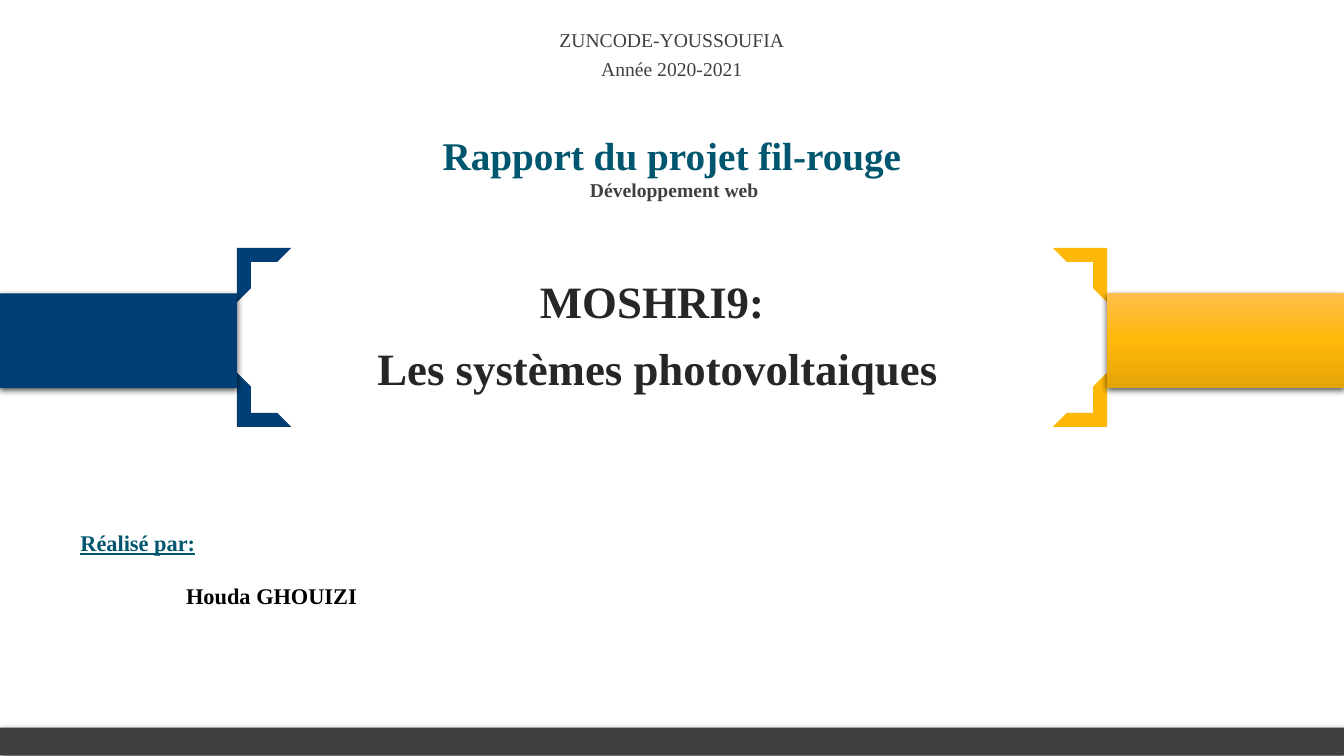
from copy import deepcopy
from dataclasses import dataclass

from pptx import Presentation
from pptx.dml.color import RGBColor
from pptx.enum.shapes import MSO_SHAPE as SHAPE
from pptx.enum.text import MSO_ANCHOR as ANCHOR, MSO_AUTO_SIZE as AUTO, PP_ALIGN as ALIGN
from pptx.oxml import parse_xml
from pptx.oxml.ns import nsdecls, qn
from pptx.util import Pt


@dataclass(frozen=True)
class Theme:
    font: str = "Times New Roman"
    navy: str = "003F75"
    gold: str = "FEB80A"
    gold_ramp: tuple = ("FFBF4C", "FFB809", "E5A506")
    teal: str = "00566E"
    gray: str = "404040"
    ink: str = "262626"
    black: str = "000000"
    title: int = 32
    heading: int = 28
    label: int = 16
    small: int = 14


T = Theme()
W, H = 960, 540
BAND_W, BAND_H, BAND_Y = 169.2, 67.7, 209.5
FRAME = 38.9


def place(sp, x, y, w, h):
    sp.left, sp.top, sp.width, sp.height = Pt(x), Pt(y), Pt(w), Pt(h)


def frame_text(sp, anchor=ANCHOR.TOP):
    tf = sp.text_frame
    tf.word_wrap = True
    tf.auto_size = AUTO.NONE
    tf.vertical_anchor = anchor
    return tf


def add_line(tf, text, size, color, bold=True, align=ALIGN.CENTER, before=0, after=0, spacing=1.0):
    """Fill the empty first paragraph, or add a new one."""
    p = tf.paragraphs[0] if not tf.text else tf.add_paragraph()
    p.text = text
    p.alignment = align
    p.space_before, p.space_after, p.line_spacing = Pt(before), Pt(after), spacing
    f = p.font
    f.name, f.size, f.bold = T.font, Pt(size), bold
    f.color.rgb = RGBColor.from_string(color)
    return p


def add_textbox(s, x, y, w, h):
    return frame_text(s.shapes.add_textbox(Pt(x), Pt(y), Pt(w), Pt(h)))


def add_solid(s, kind, x, y, w, h, color):
    sp = s.shapes.add_shape(kind, Pt(x), Pt(y), Pt(w), Pt(h))
    sp.shadow.inherit = False
    sp.fill.solid()
    sp.fill.fore_color.rgb = RGBColor.from_string(color)
    sp.line.fill.background()
    return sp


def add_band(s, x, y, w, h, color):
    """Rectangle with a soft shadow below it."""
    sp = add_solid(s, SHAPE.RECTANGLE, x, y, w, h, color)
    sp._element.spPr.find(qn("a:effectLst")).append(parse_xml(
        f'<a:outerShdw {nsdecls("a")} blurRad="{Pt(4.5)}" dist="{Pt(1.5)}" dir="5400000" '
        f'algn="ctr" rotWithShape="0"><a:srgbClr val="{T.black}">'
        '<a:alpha val="63000"/></a:srgbClr></a:outerShdw>'))
    return sp


def fill_vertical_ramp(sp, colors):
    fill = sp.fill
    fill.gradient()
    fill.gradient_angle = 270
    stops = sp._element.spPr.find(qn("a:gradFill")).find(qn("a:gsLst"))
    while len(stops) < len(colors):
        stops.append(deepcopy(stops[0]))
    for i, (stop, color) in enumerate(zip(fill.gradient_stops, colors)):
        stop.color.rgb = RGBColor.from_string(color)
        stop.position = i / (len(colors) - 1)


def add_corner(s, x, y, color, rotation):
    sp = add_solid(s, SHAPE.HALF_FRAME, x, y, FRAME, FRAME, color)
    sp.adjustments[0] = sp.adjustments[1] = 0.258
    sp.rotation = rotation


def main():
    prs = Presentation()
    prs.slide_width, prs.slide_height = Pt(W), Pt(H)
    s = prs.slides.add_slide(prs.slide_layouts[0])

    # Project title
    title = s.shapes.title
    place(title, 157.7, 190.8, 624.2, 100.1)
    tf = frame_text(title, ANCHOR.MIDDLE)
    tf.margin_left = tf.margin_right = tf.margin_top = tf.margin_bottom = Pt(9.4)
    for text in ("MOSHRI9: ", "Les systèmes photovoltaiques"):
        add_line(tf, text, T.title, T.ink, after=13, spacing=0.9)

    # Report heading
    subtitle = s.placeholders[1]
    place(subtitle, 251.3, 90, 457.2, 58.3)
    tf = frame_text(subtitle)
    add_line(tf, "Rapport du projet fil-rouge", T.heading, T.teal)
    add_line(tf, " Développement web", T.small, T.gray)

    # School and year
    tf = add_textbox(s, 182.2, 16.6, 595.4, 49.7)
    for text in ("ZUNCODE-YOUSSOUFIA", "Année 2020-2021"):
        add_line(tf, text, T.small, T.gray, bold=False, after=3.9)

    # Author
    tf = add_textbox(s, 50.4, 374.4, 367.2, 85)
    add_line(tf, "Réalisé par:", T.label, T.teal, align=ALIGN.LEFT).font.underline = True
    p = add_line(tf, "Houda GHOUIZI", T.label, T.black, align=ALIGN.LEFT, before=19)
    p._p.get_or_add_pPr().set("marL", str(Pt(75.5)))

    # Corners of the title frame, clockwise from top left
    left, right, top, bottom = BAND_W, W - BAND_W - FRAME, 177.1, 266
    corners = ((left, top, T.navy), (right, top, T.gold),
               (right, bottom, T.gold), (left, bottom, T.navy))
    for i, (x, y, color) in enumerate(corners):
        add_corner(s, x, y, color, 90 * i)

    # Side bands and footer
    add_band(s, 0, BAND_Y, BAND_W, BAND_H, T.navy)
    gold_band = add_band(s, W - BAND_W, BAND_Y, BAND_W, BAND_H, T.gold)
    fill_vertical_ramp(gold_band, T.gold_ramp)
    add_band(s, 0, 519.8, W, 19.5, T.gray)

    prs.save("out.pptx")


if __name__ == "__main__":
    main()
